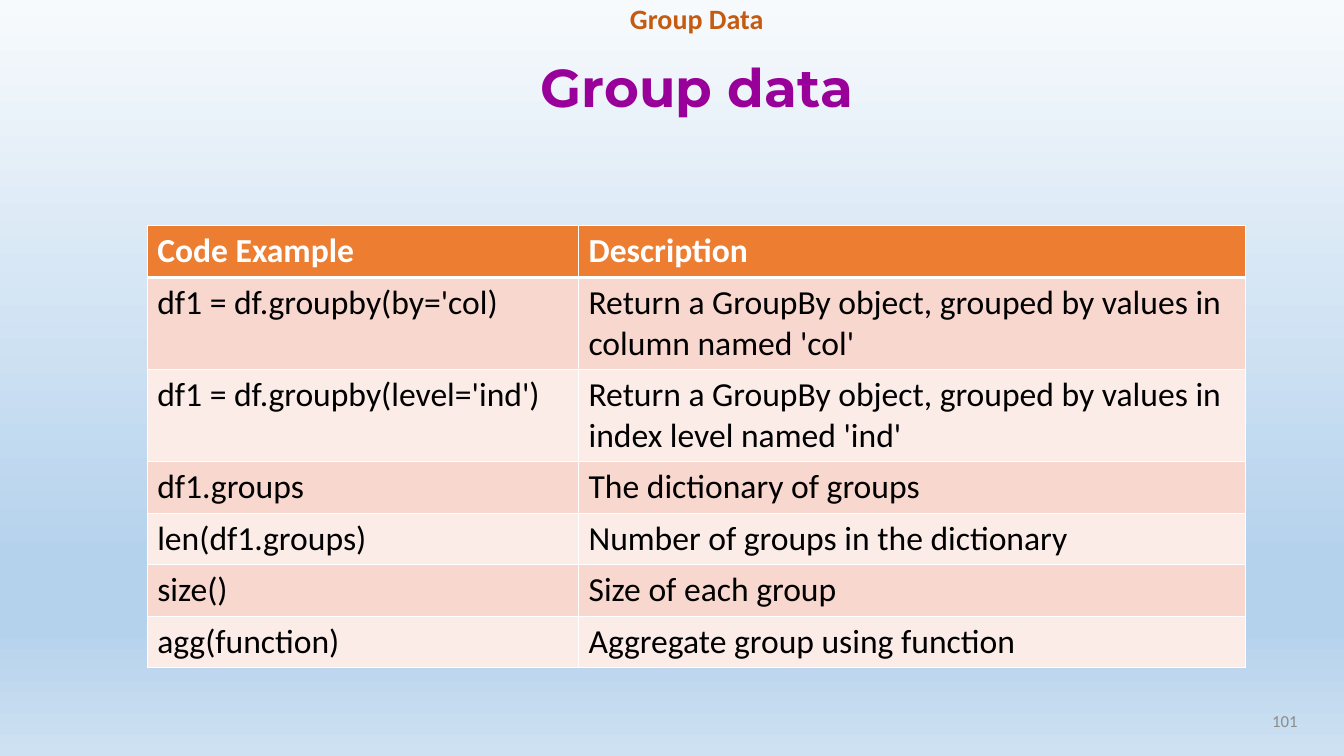
from dataclasses import dataclass

from lxml.etree import SubElement
from pptx import Presentation
from pptx.dml.color import RGBColor
from pptx.enum.text import MSO_ANCHOR as Anchor, PP_ALIGN as Align
from pptx.oxml.ns import qn
from pptx.util import Cm, Pt

WHITE = "FFFFFF"
HEADER_FILL = "ED7D31"
BAND_FILLS = ("F8D7CE", "FCECE8")
SKY_STOPS = ((0, "F7FAFD"), (74, "B5D2EC"), (83, "B5D2EC"), (100, "CEE1F2"))
COLUMN_WIDTHS = (10.87, 16.81)
LINE_ROW, TWO_LINE_ROW = 1.3, 2.32


@dataclass(frozen=True)
class Label:
    """A text box, with its box in centimetres."""
    text: str
    left: float
    top: float
    width: float
    height: float
    size: float
    color: str
    font: str = "Calibri"
    bold: bool = False
    align: Align = Align.CENTER
    anchor: Anchor = Anchor.MIDDLE
    line_spacing: float = 1.0


@dataclass(frozen=True)
class TableRow:
    code: str
    description: str
    height: float = LINE_ROW


LABELS = (
    Label("Group data", 2.21, 1.04, 30.71, 2.46, 38, "990099",
          font="Montserrat", bold=True, line_spacing=0.9),
    Label("101", 24.64, 17.65, 8.31, 1.02, 12, "8C8C8C", align=Align.RIGHT),
    Label("Group Data", 6.65, 0, 21.82, 1.04, 20, "C55A11",
          bold=True, anchor=Anchor.TOP, line_spacing=0.9),
)
ROWS = (
    TableRow("Code Example", "Description"),
    TableRow("df1 = df.groupby(by='col)",
             "Return a GroupBy object, grouped by values in column named 'col'",
             TWO_LINE_ROW),
    TableRow("df1 = df.groupby(level='ind')",
             "Return a GroupBy object, grouped by values in index level named 'ind'",
             TWO_LINE_ROW),
    TableRow("df1.groups", "The dictionary of groups"),
    TableRow("len(df1.groups)", "Number of groups in the dictionary"),
    TableRow("size()", "Size of each group"),
    TableRow("agg(function)", "Aggregate group using function"),
)


def rgb(color: str) -> RGBColor:
    return RGBColor.from_string(color)


def write_text(text_frame, text: str, *, size: float, color: str,
               font: str = "Calibri", bold: bool = False,
               align: Align = Align.LEFT, line_spacing: float = 1.0) -> None:
    text_frame.word_wrap = True
    paragraph = text_frame.paragraphs[0]
    paragraph.alignment = align
    paragraph.line_spacing = line_spacing
    run = paragraph.add_run()
    run.text = text
    run.font.name = font
    run.font.size = Pt(size)
    run.font.bold = bold
    run.font.color.rgb = rgb(color)


def add_label(slide, label: Label) -> None:
    shape = slide.shapes.add_textbox(Cm(label.left), Cm(label.top),
                                     Cm(label.width), Cm(label.height))
    shape.text_frame.vertical_anchor = label.anchor
    write_text(shape.text_frame, label.text, size=label.size, color=label.color,
               font=label.font, bold=label.bold, align=label.align,
               line_spacing=label.line_spacing)


def add_color_xml(parent, color: str) -> None:
    SubElement(parent, qn("a:srgbClr"), val=color)


def paint_background(slide) -> None:
    fill = slide.background.fill
    fill.gradient()
    fill.gradient_angle = 270
    stop_list = next(slide.background._cSld.iter(qn("a:gsLst")))
    for stop in list(stop_list):
        stop_list.remove(stop)
    for percent, color in SKY_STOPS:
        add_color_xml(SubElement(stop_list, qn("a:gs"), pos=str(percent * 1000)), color)


def set_borders(cell, bottom_width: float) -> None:
    properties = cell._tc.get_or_add_tcPr()
    widths = {"a:lnL": 1, "a:lnR": 1, "a:lnT": 1, "a:lnB": bottom_width}
    for side, width in widths.items():
        line = SubElement(properties, qn(side), w=str(Pt(width)))
        add_color_xml(SubElement(line, qn("a:solidFill")), WHITE)


def add_code_table(slide) -> None:
    table = slide.shapes.add_table(
        len(ROWS), len(COLUMN_WIDTHS), Cm(3.71), Cm(5.69),
        Cm(sum(COLUMN_WIDTHS)), Cm(sum(row.height for row in ROWS))).table
    for column, width in zip(table.columns, COLUMN_WIDTHS):
        column.width = Cm(width)
    for index, row in enumerate(ROWS):
        table.rows[index].height = Cm(row.height)
        is_header = index == 0
        fill = HEADER_FILL if is_header else BAND_FILLS[(index - 1) % 2]
        for cell, text in zip(table.rows[index].cells, (row.code, row.description)):
            set_borders(cell, bottom_width=3 if is_header else 1)
            cell.fill.solid()
            cell.fill.fore_color.rgb = rgb(fill)
            write_text(cell.text_frame, text, size=24, bold=is_header,
                       color=WHITE if is_header else "000000")


def main() -> None:
    presentation = Presentation()
    presentation.slide_width, presentation.slide_height = Cm(33.87), Cm(19.05)
    slide = presentation.slides.add_slide(presentation.slide_layouts[6])
    paint_background(slide)
    for label in LABELS:
        add_label(slide, label)
    add_code_table(slide)
    presentation.save("out.pptx")


if __name__ == "__main__":
    main()
